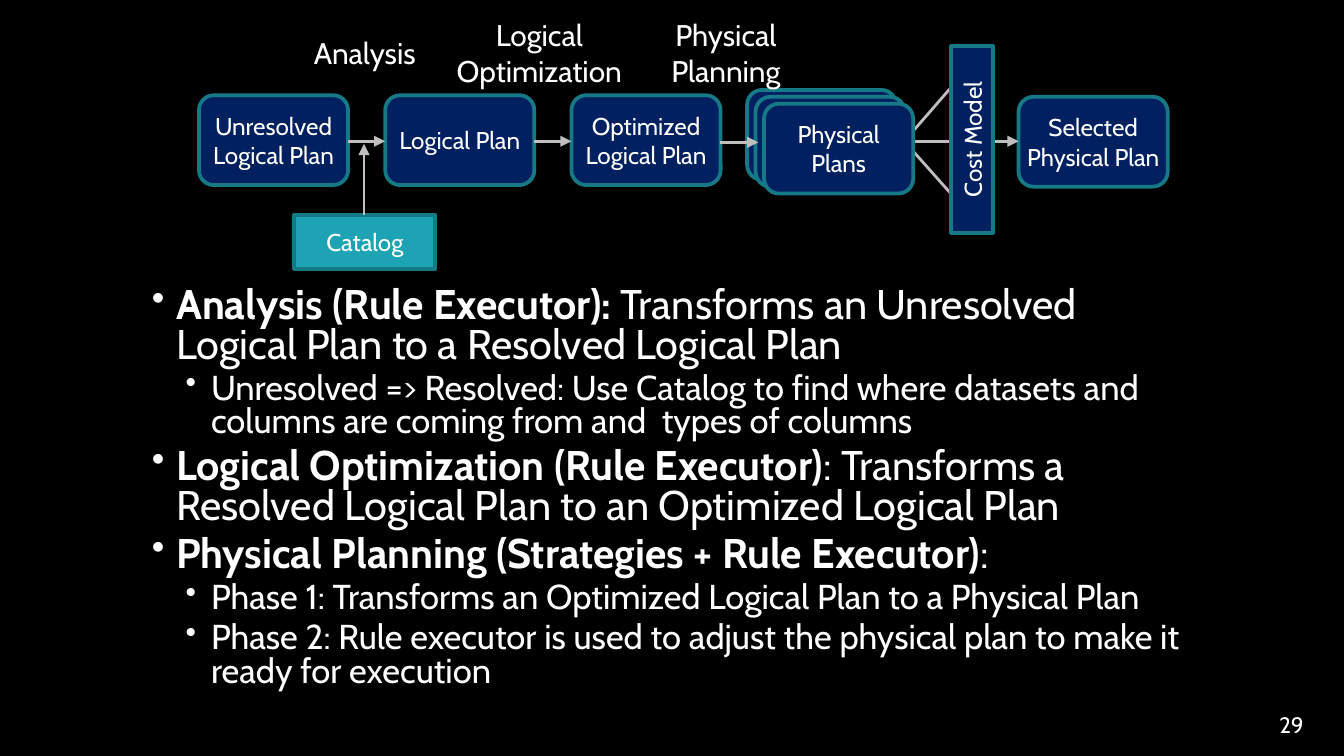
import pptx
import pptx.dml.color
import pptx.enum.shapes
import pptx.enum.text
import pptx.oxml.ns
import pptx.util
from lxml import etree

Cm, Pt = pptx.util.Cm, pptx.util.Pt
Kind = pptx.enum.shapes.MSO_SHAPE
Align = pptx.enum.text.PP_ALIGN
qn = pptx.oxml.ns.qn
WHITE, NAVY, TEAL, RIM, GREY = "FFFFFF", "002060", "1EA3B5", "167986", "BFBFBF"


def tint(form, code):
    """Give a fill, or the fill of a line, a solid colour."""
    form.solid()
    form.fore_color.rgb = pptx.dml.color.RGBColor.from_string(code)


def write(para, text, size, bold=False):
    run = para.add_run()
    run.text = text
    run.font.name = "Cabin"
    run.font.size = Pt(size)
    run.font.bold = bold
    tint(run.font.fill, WHITE)


deck = pptx.Presentation()
deck.slide_width, deck.slide_height = Cm(25.4), Cm(14.29)
slide = deck.slides.add_slide(deck.slide_layouts[6])
tint(slide.background.fill, "000000")
shapes = slide.shapes

# Flow chart, back to front: boxes are (kind, left, top, width, height, lines),
# arrows are (None, x1, y1, x2, y2, no lines)
ROUND, RECT = Kind.ROUNDED_RECTANGLE, Kind.RECTANGLE
wide, high, top, step, mid = 2.82, 1.7, 1.8, 3.52, 2.67
start, fan = 3.76, 17.09
stack = [(ROUND, 14.12 + 0.16 * i, 1.7 + 0.13 * i, wide, high) for i in range(3)]
plans = ["Unresolved Logical Plan", "Logical Plan", "Optimized Logical Plan"]

items = [(*back, []) for back in stack[:2]]
items += [(ROUND, start + step * i, top, wide, high, [plan])
          for i, plan in enumerate(plans)]
items += [(ROUND, 19.25, 1.83, wide, high, ["Selected Physical Plan"])]
items += [(None, start + step * i + wide, mid, start + step * (i + 1), mid, [])
          for i in range(2)]
items += [(None, fan, mid, x, y, [])
          for x, y in [(19.25, mid), (18.62, 4.39), (18.62, 0.91)]]
items += [
    (RECT, 16.61, 2.24, 3.53, 0.79, ["Cost Model"]),
    (*stack[2], ["Physical", "Plans"]),
    (RECT, 5.56, 4.06, 2.67, 1.02, ["Catalog"]),
    (None, 6.88, 4.06, 6.88, 2.72, []),
    (None, 13.61, 2.69, 14.33, 2.69, []),
]

for kind, x, y, w, h, lines in items:
    place = Cm(x), Cm(y), Cm(w), Cm(h)
    if kind is None:
        arrow = shapes.add_connector(pptx.enum.shapes.MSO_CONNECTOR.STRAIGHT, *place)
        tint(arrow.line.fill, GREY)
        arrow.line.width = Pt(1.5)
        etree.SubElement(arrow.line._get_or_add_ln(), qn("a:tailEnd"), type="triangle")
        etree.SubElement(arrow._element.spPr, qn("a:effectLst"))
        continue
    box = shapes.add_shape(kind, *place)
    box.shadow.inherit = False
    tint(box.fill, TEAL if "Catalog" in lines else NAVY)
    tint(box.line.fill, RIM)
    box.line.width = Pt(2)
    if "Cost Model" in lines:
        box.rotation = 270
    frame = box.text_frame
    frame.margin_left = frame.margin_right = 0
    if kind == ROUND:
        frame.margin_top = frame.margin_bottom = 0
    for i, line in enumerate(lines):
        para = frame.add_paragraph() if i else frame.paragraphs[0]
        para.alignment = Align.CENTER
        write(para, line, 13)

# Stage names above the arrows
stages = [
    (5.64, 0.53, 2.51, 0.94, ["Analysis"]),
    (8.38, 0.2, 3.63, 1.63, ["Logical", "Optimization"]),
    (12.4, 0.2, 2.64, 1.63, ["Physical", "Planning"]),
]
for x, y, w, h, lines in stages:
    frame = shapes.add_textbox(Cm(x), Cm(y), Cm(w), Cm(h)).text_frame
    frame.word_wrap = False
    for i, line in enumerate(lines):
        para = frame.add_paragraph() if i else frame.paragraphs[0]
        para.alignment = Align.CENTER
        write(para, line, 16)

# Bullets: (level, bold lead, rest)
points = [
    (0, "Analysis (Rule Executor): ",
     "Transforms an Unresolved Logical Plan to a Resolved Logical Plan"),
    (1, "", "Unresolved => Resolved: Use Catalog to find where datasets and "
            "columns are coming from and  types of columns"),
    (0, "Logical Optimization (Rule Executor)",
     ": Transforms a Resolved Logical Plan to an Optimized Logical Plan"),
    (0, "Physical Planning (Strategies + Rule Executor)", ":"),
    (1, "", "Phase 1: Transforms an Optimized Logical Plan to a Physical Plan"),
    (1, "", "Phase 2: Rule executor is used to adjust the physical plan to make it "
            "ready for execution"),
]
frame = shapes.add_textbox(Cm(2.62), Cm(5.31), Cm(19.91), Cm(8.61)).text_frame
frame.word_wrap = True
for i, (level, lead, rest) in enumerate(points):
    size, left, hang = [(22.2, 0.46, 0.46), (18.5, 1.12, 0.48)][level]
    para = frame.add_paragraph() if i else frame.paragraphs[0]
    para.level = level
    para.line_spacing = 0.8
    para.space_before = Pt(size * 0.2)
    props = para._p.get_or_add_pPr()
    props.set("marL", str(Cm(left)))
    props.set("indent", str(-Cm(hang)))
    etree.SubElement(props, qn("a:buSzPct"), val="90000")
    etree.SubElement(props, qn("a:buChar"), char="•")
    if lead:
        write(para, lead, size, True)
    write(para, rest, size)

# Page number
frame = shapes.add_textbox(Cm(23.47), Cm(13.31), Cm(1.42), Cm(0.76)).text_frame
frame.word_wrap = True
para = frame.paragraphs[0]
para.alignment = Align.RIGHT
para.space_after = Pt(12)
write(para, "29", 12)

deck.save("out.pptx")
